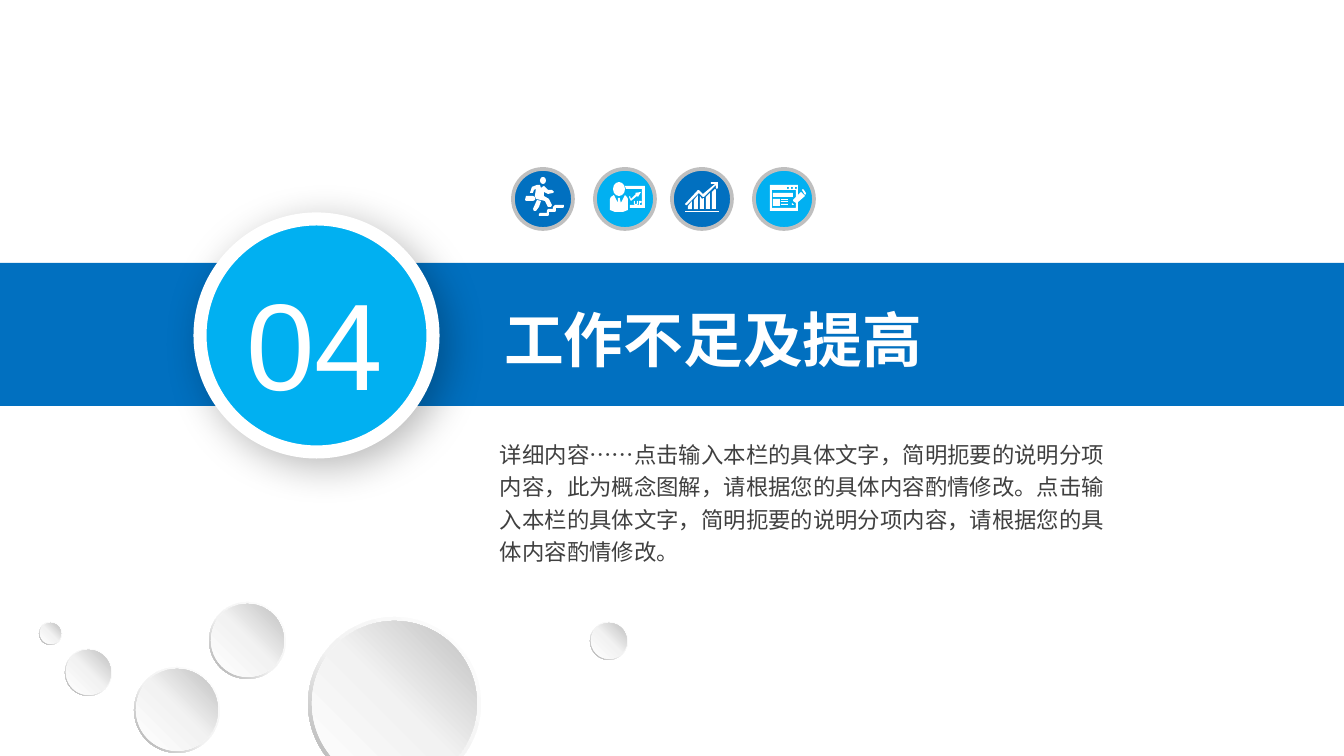
from lxml import etree
from pptx import Presentation, util as u
from pptx.dml.color import RGBColor
from pptx.enum import shapes, text
from pptx.oxml.ns import qn

PX = 9144000 / 1344  # EMU per px
COLORS = {"blue": "0170C0", "sky": "01B0F1", "white": "FFFFFF", "body": "404040",
          "ring": "BFBFBF", "pale": "F2F2F2", "rim": "A6A6A6", "shadow": "000000"}
KIND = shapes.MSO_SHAPE

# Icon parts on a 60 px badge: ovals and bars are (x, y, width, height),
# outlines are lists of contours, where later contours are holes.
RUNNER = {
    "ovals": [(27, 8, 6, 7)],
    "outlines": [
        [[(27, 44), (34, 44), (34, 42), (35, 40), (40, 40), (40, 38), (42, 36), (51, 36), (51, 38),
          (50, 39), (43, 39), (43, 42), (42, 43), (36, 43), (36, 46), (35, 47), (26, 47), (26, 45)]],
        [[(13, 32), (20, 32), (22, 31), (22, 28), (20, 27), (13, 27), (12, 31)]],
        [[(20, 40), (24, 31), (28, 32), (26, 38), (23, 42), (21, 42)]],
        [[(31, 17), (35, 21), (39, 21), (41, 23), (40, 24), (35, 25), (31, 23), (31, 27), (36, 30),
          (39, 36), (38, 38), (35, 38), (32, 32), (23, 30), (22, 27), (23, 20), (21, 21), (20, 24),
          (17, 24), (19, 18), (24, 16), (27, 16), (28, 19)]],
    ],
}
PRESENTER = {
    "ovals": [(18, 13, 12, 14)],
    "outlines": [
        [[(30, 17), (31, 20), (47, 20), (47, 36), (35, 36), (35, 39), (50, 39), (50, 17)]],
        [[(35, 27), (34, 28), (36, 32), (42, 27), (43, 28), (46, 23), (40, 24), (41, 25), (36, 30)]],
        [[(30, 26), (26, 34), (25, 30), (25, 29), (23, 29), (23, 30), (23, 34), (19, 26), (16, 28),
          (15, 30), (15, 41), (20, 43), (28, 43), (33, 41), (33, 30), (32, 28)]],
        [[(39, 32), (39, 35), (40, 36), (42, 36), (43, 35), (43, 32), (42, 32), (42, 35), (40, 35),
          (40, 32)]],
        [[(44, 32), (46, 32), (47, 33), (46, 34), (45, 34), (45, 36), (44, 36)]],
    ],
}
GROWTH = {
    "bars": [(13, 42, 34, 1)],
    "outlines": [
        [[(16, 40), (20, 40), (20, 32), (16, 37)]],
        [[(22, 40), (26, 40), (26, 26), (22, 31)]],
        [[(28, 40), (32, 40), (32, 29), (30, 30), (28, 27)]],
        [[(34, 40), (38, 40), (38, 24), (34, 28)]],
        [[(40, 40), (44, 40), (44, 21), (43, 20), (40, 23)]],
        [[(13, 35), (26, 21), (27, 21), (31, 25), (43, 15), (39, 15), (39, 13), (46, 13), (46, 19),
          (45, 20), (44, 19), (44, 16), (32, 28), (31, 28), (27, 24), (15, 36), (14, 36)]],
    ],
}


def square(left, top, right, bottom):
    return [(left, top), (right, top), (right, bottom), (left, bottom)]


EDITOR = {
    "bars": [(19, 24, 20, 4), (19, 30, 7, 7)] + [(27, y, 7, 1) for y in (30, 32, 35)],
    "outlines": [
        [square(16, 16, 44, 42), square(18, 21, 42, 39)]
        + [square(x, 18, x + 2, 20) for x in (33, 37, 41)],
        [[(38, 34), (38, 36), (40, 36)]],
        [[(51, 26), (52, 25), (52, 24), (50, 21), (49, 20), (48, 21)]],
        [[(47, 23), (39, 31), (39, 32), (42, 34), (43, 34), (51, 27)]],
    ],
}
BADGES = [(513, "blue", RUNNER), (595, "sky", PRESENTER), (672, "blue", GROWTH), (754, "sky", EDITOR)]
BUBBLES = [(134, 667, 86), (590, 622, 38), (308, 617, 173), (209, 602, 77), (65, 649, 47), (39, 622, 23)]


def px(*lengths):
    return [u.Emu(round(length * PX)) for length in lengths]


def paint(shape, color):
    shape.shadow.inherit = False
    shape.fill.solid()
    shape.fill.fore_color.rgb = RGBColor.from_string(COLORS[color])
    shape.line.fill.background()


def add_shape(page, kind, box, color):
    shape = page.shapes.add_shape(kind, *px(*box))
    paint(shape, color)
    return shape


def outline(shape, color, width):
    shape.line.color.rgb = RGBColor.from_string(COLORS[color])
    shape.line.width = u.Pt(width)


def add_gradient(shape, stops, angle):
    shape.fill.gradient()
    shape.fill.gradient_angle = 360 - angle
    stop_list = shape.element.spPr.find(".//" + qn("a:gsLst"))
    stop_list.clear()
    for position, color in stops:
        stop = etree.SubElement(stop_list, qn("a:gs"), pos=str(position * 1000))
        etree.SubElement(stop, qn("a:srgbClr"), val=COLORS[color])


def add_soft_shadow(shape, alpha, blur, distance, angle):
    effects = shape.element.spPr.find(qn("a:effectLst"))
    shadow = etree.SubElement(effects, qn("a:outerShdw"), blurRad=str(u.Pt(blur)),
                              dist=str(u.Pt(distance)), dir=str(angle * 60000),
                              algn="ctr", rotWithShape="0")
    color = etree.SubElement(shadow, qn("a:srgbClr"), val=COLORS["shadow"])
    etree.SubElement(color, qn("a:alpha"), val=str(alpha * 1000))


def add_text(page, box, words, size, color, inset, bold=False, align=None, spacing=None):
    frame = page.shapes.add_textbox(*px(*box)).text_frame
    frame.word_wrap = True
    frame.auto_size = text.MSO_AUTO_SIZE.SHAPE_TO_FIT_TEXT
    frame.margin_left, frame.margin_top, frame.margin_right, frame.margin_bottom = px(*inset * 2)
    para = frame.paragraphs[0]
    para.text = words
    para.alignment = align
    para.line_spacing = spacing
    para.font.name, para.font.size, para.font.bold = "Arial", u.Pt(size), bold
    para.font.color.rgb = RGBColor.from_string(COLORS[color])


def add_badge(page, left, top, color, icon):
    disc = add_shape(page, KIND.OVAL, (left, top, 60, 60), color)
    outline(disc, "ring", 2)
    for kind, part in ((KIND.OVAL, "ovals"), (KIND.RECTANGLE, "bars")):
        for x, y, width, height in icon.get(part, []):
            add_shape(page, kind, (left + x, top + y, width, height), "white")
    for contours in icon["outlines"]:
        builder = page.shapes.build_freeform(*contours[0][0], scale=PX)
        for number, points in enumerate(contours):
            if number:
                builder.move_to(*points[0])
            builder.add_line_segments(points[1:], close=True)
        paint(builder.convert_to_shape(*px(left, top)), "white")


def add_banner(page, left, top, width, height):
    add_shape(page, KIND.RECTANGLE, (left, top, width, height), "blue")
    add_text(page, (left + 491, top + 33, 520, 86), "工作不足及提高", 32, "white", (13, 7), bold=True)


def add_number(page, left, top, size):
    disc = add_shape(page, KIND.OVAL, (left, top, size, size), "sky")
    outline(disc, "white", 7)
    add_soft_shadow(disc, alpha=28, blur=22, distance=6, angle=45)
    add_text(page, (left + 27, top + 43, 176, 160), "04", 66, "white", (9, 5),
             align=text.PP_ALIGN.CENTER)


def add_bubble(page, left, top, size):
    rim = add_shape(page, KIND.DONUT, (left, top, size, size), "pale")
    rim.adjustments[0] = 0.05
    add_gradient(rim, [(0, "white"), (55, "pale"), (100, "rim")], 135)
    inset = round(size * 0.024)
    inner = size - 2 * inset
    face = add_shape(page, KIND.OVAL, (left + inset, top + inset, inner, inner), "pale")
    add_gradient(face, [(0, "white"), (51, "pale"), (100, "ring")], 315)


def main():
    deck = Presentation()
    deck.slide_width, deck.slide_height = px(1344, 756)
    page = deck.slides.add_slide(deck.slide_layouts[6])

    # Section title and description
    add_banner(page, 0, 263, 1344, 143)
    add_text(page, (491, 431, 626, 141),
             "详细内容……点击输入本栏的具体文字，简明扼要的说明分项内容，此为概念图解，"
             "请根据您的具体内容酌情修改。点击输入本栏的具体文字，简明扼要的说明分项内容，"
             "请根据您的具体内容酌情修改。", 12, "body", (9, 5), spacing=1.2)

    # Icon badges
    for left, color, icon in BADGES:
        add_badge(page, left, 169, color, icon)

    # Section number and decorative bubbles
    add_number(page, 200, 219, 233)
    for bubble in BUBBLES:
        add_bubble(page, *bubble)
    deck.save("out.pptx")


if __name__ == "__main__":
    main()
